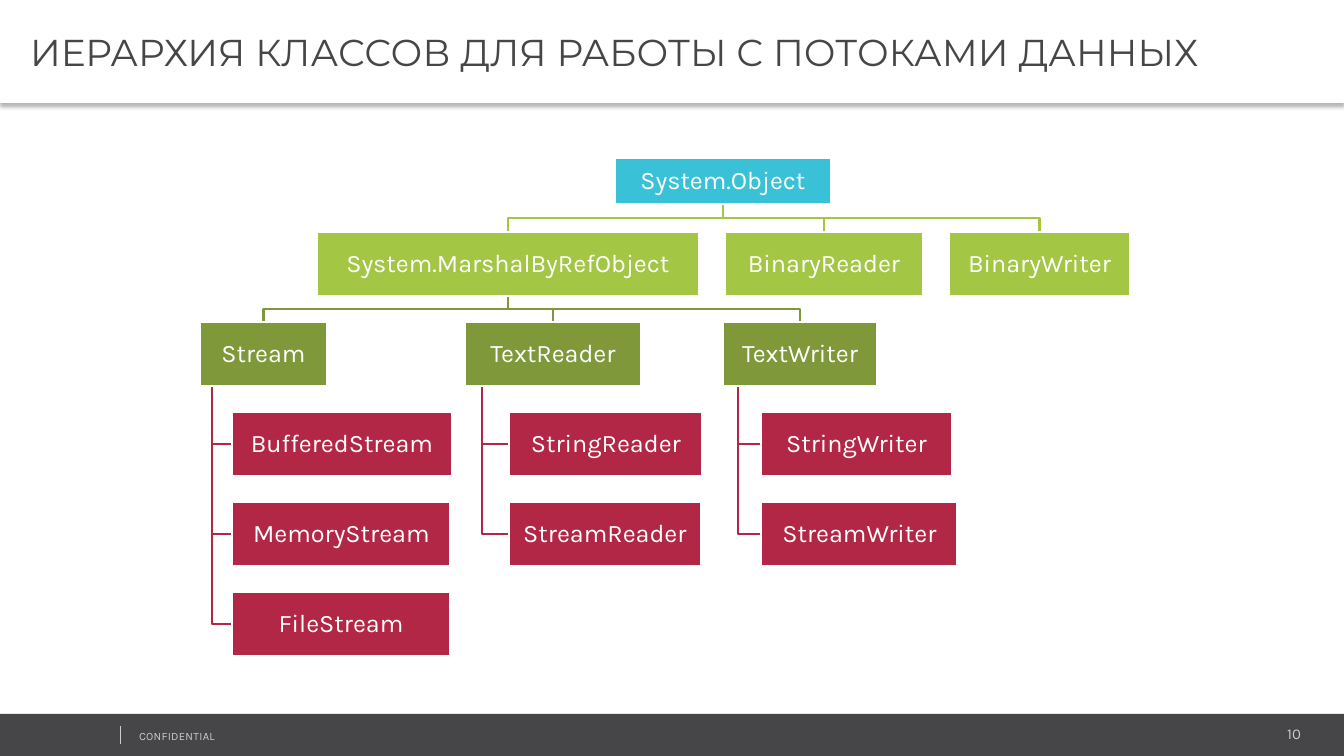
from dataclasses import dataclass

from lxml import etree
from pptx import Presentation
from pptx import util as u
from pptx.dml.color import RGBColor
from pptx.enum import shapes, text
from pptx.oxml import ns

SCALE = 914400 / 100.8


def px(*sizes):
    return [u.Emu(round(size * SCALE)) for size in sizes]


@dataclass(frozen=True)
class Theme:
    white: str = "FFFFFF"
    dark: str = "464547"
    pale: str = "CCCCCC"
    levels: tuple = ("39C2D7", "A3C644", "7F993A", "B22746")
    head: str = "Montserrat"
    body: str = "Karla"
    title: float = 26.7
    label: float = 18
    page: float = 10.7
    note: float = 8
    stroke: float = 2
    hair: float = 0.25


def write(shape, words, font, size, color, align=text.PP_ALIGN.LEFT,
          inset=(10, 5, 10, 5), anchor=text.MSO_ANCHOR.TOP, leading=1, track=0):
    frame = shape.text_frame
    frame.word_wrap = True
    frame.vertical_anchor = anchor
    (frame.margin_left, frame.margin_top,
     frame.margin_right, frame.margin_bottom) = px(*inset)
    line = frame.paragraphs[0]
    line.alignment = align
    line.line_spacing = leading
    run = line.add_run()
    run.text = words
    run.font.name = font
    run.font.size = u.Pt(size)
    run.font.color.rgb = RGBColor.from_string(color)
    if track:
        run.font._element.set("spc", str(track))


class Deck:
    """Hold the theme and the current slide, and draw its elements."""

    def __init__(self, theme):
        self.theme = theme
        self.show = Presentation()
        self.show.slide_width, self.show.slide_height = px(1344, 756)
        self.slide = self.show.slides.add_slide(self.show.slide_layouts[6])

    def rect(self, place, fill, edge=None):
        shape = self.slide.shapes.add_shape(shapes.MSO_SHAPE.RECTANGLE, *px(*place))
        shape.shadow.inherit = False
        shape.fill.solid()
        shape.fill.fore_color.rgb = RGBColor.from_string(fill)
        if edge:
            self.stroke(shape, edge, self.theme.stroke)
        else:
            shape.line.fill.background()
        return shape

    def stroke(self, shape, color, width):
        shape.line.color.rgb = RGBColor.from_string(color)
        shape.line.width = u.Pt(width)

    def note(self, place, words, **style):
        box = self.slide.shapes.add_textbox(*px(*place))
        write(box, words, self.theme.body, color=self.theme.pale, **style)

    def rule(self, *ends):
        line = self.slide.shapes.add_connector(shapes.MSO_CONNECTOR.STRAIGHT, *px(*ends))
        self.stroke(line, self.theme.pale, self.theme.hair)
        etree.SubElement(line._element.spPr, ns.qn("a:effectLst"))

    def link(self, points, color):
        first, *rest = [px(*point) for point in points]
        path = self.slide.shapes.build_freeform(*first, scale=1)
        path.add_line_segments(rest, close=False)
        shape = path.convert_to_shape()
        shape.shadow.inherit = False
        shape.fill.background()
        self.stroke(shape, color, self.theme.stroke)

    def node(self, name, place, level):
        box = self.rect(place, self.theme.levels[level], self.theme.white)
        write(box, name, self.theme.body, self.theme.label, self.theme.white,
              align=text.PP_ALIGN.CENTER, inset=(1, 1, 1, 1),
              anchor=text.MSO_ANCHOR.MIDDLE, leading=0.9)

    def title(self, place, words):
        bar = self.rect(place, self.theme.white)
        write(bar, words, self.theme.head, self.theme.title, self.theme.dark,
              inset=(30, 4, 7, 4), anchor=text.MSO_ANCHOR.MIDDLE)
        glow = bar._element.spPr.find(ns.qn("a:effectLst"))
        shade = etree.SubElement(glow, ns.qn("a:outerShdw"), blurRad=str(u.Pt(3.1)),
                                 dist=str(u.Pt(2)), dir="5400000", algn="t", rotWithShape="0")
        tint = etree.SubElement(shade, ns.qn("a:srgbClr"), val="000000")
        etree.SubElement(tint, ns.qn("a:alpha"), val="30000")


TREE = ("System.Object", 615, 216, [
    ("System.MarshalByRefObject", 317, 382, [
        ("Stream", 200, 127, [
            ("BufferedStream", 232, 220, []),
            ("MemoryStream", 232, 219, []),
            ("FileStream", 232, 218, [])]),
        ("TextReader", 465, 176, [
            ("StringReader", 509, 194, []),
            ("StreamReader", 509, 192, [])]),
        ("TextWriter", 723, 154, [
            ("StringWriter", 761, 191, []),
            ("StreamWriter", 761, 197, [])])]),
    ("BinaryReader", 725, 198, []),
    ("BinaryWriter", 949, 181, [])])
ROOT_TOP, ROOT_HIGH = 158, 46
ROW_TOP, ROW_STEP, ROW_HIGH = 232, 90, 64
STACK = 3


def lay_out(branch, level=0, row=0):
    name, left, width, kids = branch
    if level:
        place = (left, ROW_TOP + ROW_STEP * (row - 1), width, ROW_HIGH)
    else:
        place = (left, ROOT_TOP, width, ROOT_HIGH)
    nodes, links = [(name, place, level)], []
    base = place[1] + place[3]
    for index, kid in enumerate(kids):
        stacked = level + 1 == STACK
        below, more = lay_out(kid, level + 1, row + 1 + index * stacked)
        x, y, wide, high = below[0][1]
        if stacked:
            trunk, mid = left + width // 10, y + high / 2
            points = [(trunk, base), (trunk, mid), (x, mid)]
        else:
            start, end, mid = left + width / 2, x + wide / 2, (base + y) / 2
            points = [(start, base), (start, mid), (end, mid), (end, y)]
        links += [(points, level + 1)] + more
        nodes += below
    return nodes, links


def main():
    theme = Theme()
    deck = Deck(theme)
    deck.rect((0, 714, 1344, 42), theme.dark)
    deck.note((1091, 720, 220, 28), "10", size=theme.page, align=text.PP_ALIGN.RIGHT)
    deck.note((129, 724, 341, 24), "CONFIDENTIAL", size=theme.note, track=20)
    deck.rule(120, 726, 120, 744)
    nodes, links = lay_out(TREE)
    for points, level in reversed(links):
        deck.link(points, theme.levels[level])
    for name, place, level in nodes:
        deck.node(name, place, level)
    deck.title((0, 0, 1344, 103), "ИЕРАРХИЯ КЛАССОВ ДЛЯ РАБОТЫ С ПОТОКАМИ ДАННЫХ")
    deck.show.save("out.pptx")


if __name__ == "__main__":
    main()
